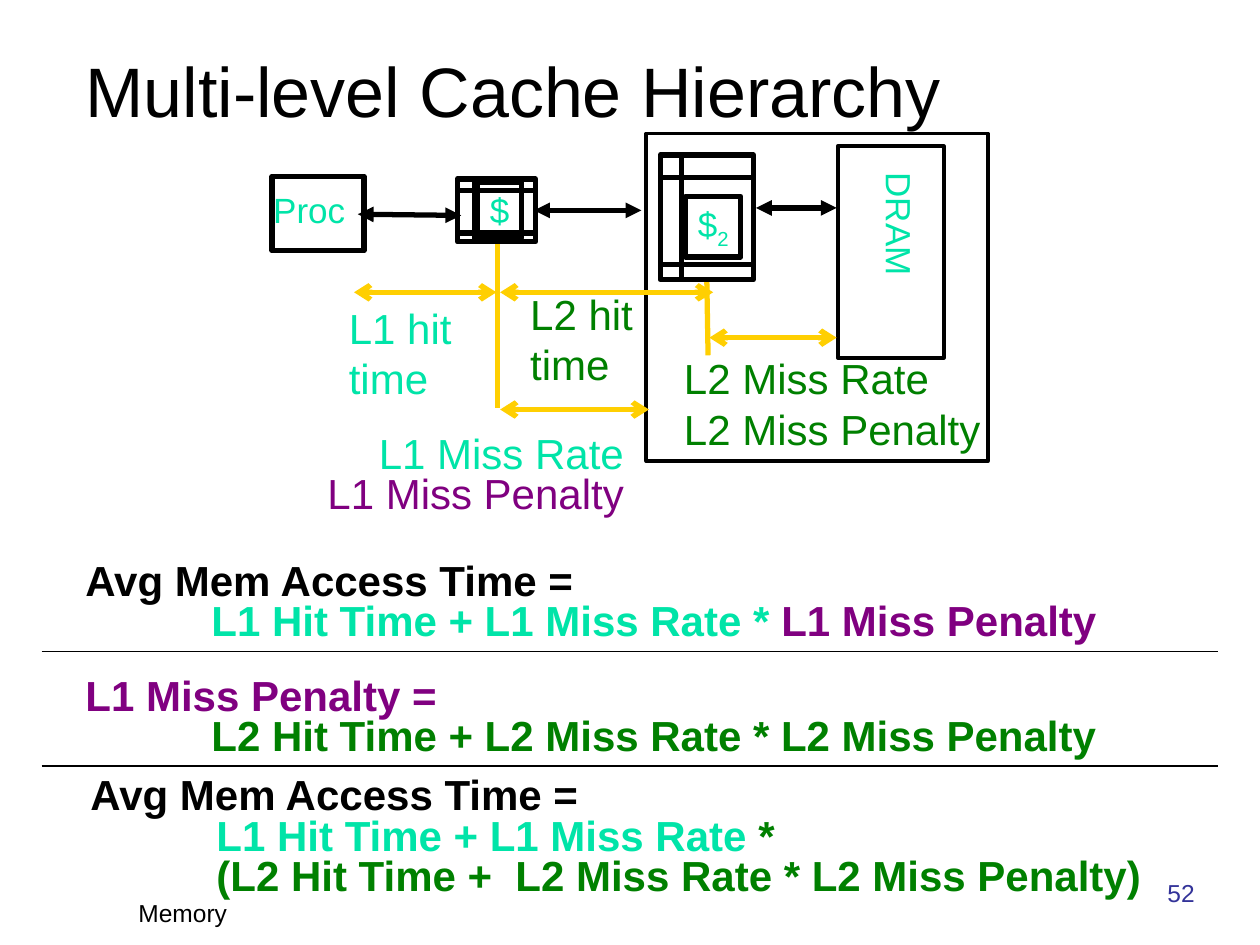
from lxml import etree
from pptx import Presentation
from pptx.dml.color import RGBColor
from pptx.enum import shapes, text
from pptx.oxml.ns import qn
from pptx.util import Inches, Pt

BLACK = RGBColor(0x00, 0x00, 0x00)
MINT = RGBColor(0x00, 0xE4, 0xA8)
GREEN = RGBColor(0x00, 0x80, 0x00)
PURPLE = RGBColor(0x80, 0x00, 0x80)
GOLD = RGBColor(0xFF, 0xCF, 0x01)
BLUE = RGBColor(0x33, 0x33, 0x99)
LEFT, RIGHT = text.PP_ALIGN.LEFT, text.PP_ALIGN.RIGHT
TOP, BOTTOM = text.MSO_ANCHOR.TOP, text.MSO_ANCHOR.BOTTOM


def write(sp, paragraphs, size, wrap=False, bold=False, align=LEFT, spacing=None, anchor=TOP):
    """Fill a shape with paragraphs, each a list of (text, colour) runs; "\\n" breaks the line."""
    tf = sp.text_frame
    tf.word_wrap = wrap
    tf.vertical_anchor = anchor
    for i, runs in enumerate(paragraphs):
        p = tf.paragraphs[0] if i == 0 else tf.add_paragraph()
        p.alignment = align
        if spacing:
            p.line_spacing = spacing
        if any("\t" in words for words, _ in runs):
            tabs = etree.SubElement(p._p.get_or_add_pPr(), qn("a:tabLst"))
            etree.SubElement(tabs, qn("a:tab"), pos=str(Inches(1)), algn="l")
        p.font.name = "Arial"
        p.font.size = Pt(size)
        p.font.bold = bold
        for words, color in runs:
            for j, part in enumerate(words.split("\n")):
                if j:
                    p.add_line_break()
                r = p.add_run()
                r.text = part
                r.font.color.rgb = color
    return tf


def connect(x1, y1, x2, y2, color, width=3, arrow=None):
    """Draw a straight line, with the given arrowhead type on both ends if any."""
    cx = s.shapes.add_connector(shapes.MSO_CONNECTOR.STRAIGHT,
                                Inches(x1), Inches(y1), Inches(x2), Inches(y2))
    cx.line.color.rgb = color
    cx.line.width = Pt(width)
    if arrow:
        ln = cx.line._get_or_add_ln()
        for end in ("a:headEnd", "a:tailEnd"):
            etree.SubElement(ln, qn(end), type=arrow)
    etree.SubElement(cx._element.spPr, qn("a:effectLst"))


prs = Presentation()
prs.slide_width, prs.slide_height = Inches(10), Inches(7.5)
s = prs.slides.add_slide(prs.slide_layouts[6])

# Boxes: position, line width, text runs
boxes = [
    (2.16, 1.4, 0.73, 0.59, 3, []),  # processor
    (3.63, 1.42, 0.62, 0.5, 3, []),  # L1 cache
    (3.79, 1.45, 0.35, 0.44, 3, [("$", MINT)]),
    (5.13, 1.06, 2.71, 2.6, 2.25, []),  # everything below L1
    (5.24, 1.23, 0.74, 0.99, 3, []),  # L2 cache
    (5.44, 1.56, 0.44, 0.48, 3, [("$", MINT), ("2", MINT)]),
    (6.65, 1.16, 0.84, 1.68, 2.25, []),  # DRAM
]
for x, y, w, h, width, runs in boxes:
    sp = s.shapes.add_shape(shapes.MSO_SHAPE.RECTANGLE, Inches(x), Inches(y), Inches(w), Inches(h))
    sp.shadow.inherit = False
    sp.fill.background()
    sp.line.color.rgb = BLACK
    sp.line.width = Pt(width)
    if runs:
        tf = write(sp, [runs], 20)
        for r in tf.paragraphs[0].runs[1:]:
            r.font._element.set("baseline", "-25000")

# Cache grids: left, right, upper row, lower row, column, top, bottom
for left, right, upper, lower, column, top, bottom in [
    (3.63, 4.24, 1.51, 1.85, 3.77, 1.43, 1.92),
    (5.24, 5.97, 1.41, 2.1, 5.41, 1.25, 2.22),
]:
    connect(left, upper, right, upper, BLACK)
    connect(left, lower, right, lower, BLACK)
    connect(column, top, column, bottom, BLACK)

# Data paths
for x1, y1, x2, y2 in [(2.84, 1.7, 3.66, 1.71), (4.24, 1.67, 5.09, 1.67), (6, 1.65, 6.64, 1.65)]:
    connect(x1, y1, x2, y2, BLACK, arrow="triangle")

# Time spans and their markers
for x1, x2, y in [(2.81, 3.94, 2.32), (3.97, 5.15, 3.25), (3.97, 5.66, 2.32), (5.63, 6.64, 2.68)]:
    connect(x1, y, x2, y, GOLD, arrow="arrow")
connect(3.95, 1.94, 3.95, 3.24, GOLD)
connect(5.61, 2.24, 5.62, 2.82, GOLD)

# Rules between equations
for y in (5.17, 6.08):
    connect(0.33, y, 9.67, y, BLACK, width=1)

equation = dict(size=24, wrap=True, bold=True, spacing=0.8)
footer = dict(size=14, wrap=True, anchor=BOTTOM)
texts = [
    (0.58, 0.6, 8.92, 0.49, [[("Multi-level Cache Hierarchy", BLACK)]],
     dict(size=40, wrap=True, anchor=BOTTOM)),
    (2.07, 1.45, 0.77, 0.44, [[("Proc", MINT)]], dict(size=20)),
    (2.67, 2.35, 1.11, 0.9, [[("L1 hit", MINT)], [("time", MINT)]], dict(size=24, wrap=True)),
    (4.11, 2.24, 1.11, 0.9, [[("L2 hit", GREEN)], [("time", GREEN)]], dict(size=24, wrap=True)),
    (2.5, 3.42, 2.55, 0.74, [[("L1 Miss Rate", MINT)], [("L1 Miss Penalty", PURPLE)]],
     dict(size=24, align=RIGHT, spacing=0.8)),
    (5.33, 2.75, 2.55, 0.9, [[("L2 Miss Rate", GREEN)], [("L2 Miss Penalty", GREEN)]],
     dict(size=24)),
    (0.58, 4.43, 8.3, 0.74,
     [[("Avg Mem Access Time =", BLACK)],
      [("\tL1 Hit Time + L1 Miss Rate * ", MINT), ("L1 Miss Penalty", PURPLE)]], equation),
    (0.58, 5.34, 8.3, 0.74,
     [[("L1 Miss Penalty =", PURPLE)],
      [("\tL2 Hit Time + L2 Miss Rate * L2 Miss Penalty", GREEN)]], equation),
    (0.62, 6.13, 8.6, 1.06,
     [[("Avg Mem Access Time =", BLACK)],
      [("\tL1 Hit Time + L1 Miss Rate ", MINT),
       ("* \n\t(L2 Hit Time +  L2 Miss Rate * L2 Miss Penalty)", GREEN)]], equation),
    (1, 7.08, 2.08, 0.33, [[("Memory", BLACK)]], footer),
    (8.33, 6.92, 1.25, 0.33, [[("52", BLUE)]], dict(footer, align=RIGHT)),
]
for x, y, w, h, paragraphs, style in texts:
    write(s.shapes.add_textbox(Inches(x), Inches(y), Inches(w), Inches(h)), paragraphs, **style)

dram = s.shapes.add_textbox(Inches(6.83), Inches(1.27), Inches(0.53), Inches(0.92))
tf = write(dram, [[("DRAM", MINT)]], 20)
tf.margin_left = tf.margin_right = Inches(0.05)
tf.margin_top = tf.margin_bottom = Inches(0.1)
tf._txBody.bodyPr.set("vert", "eaVert")

prs.save("out.pptx")
